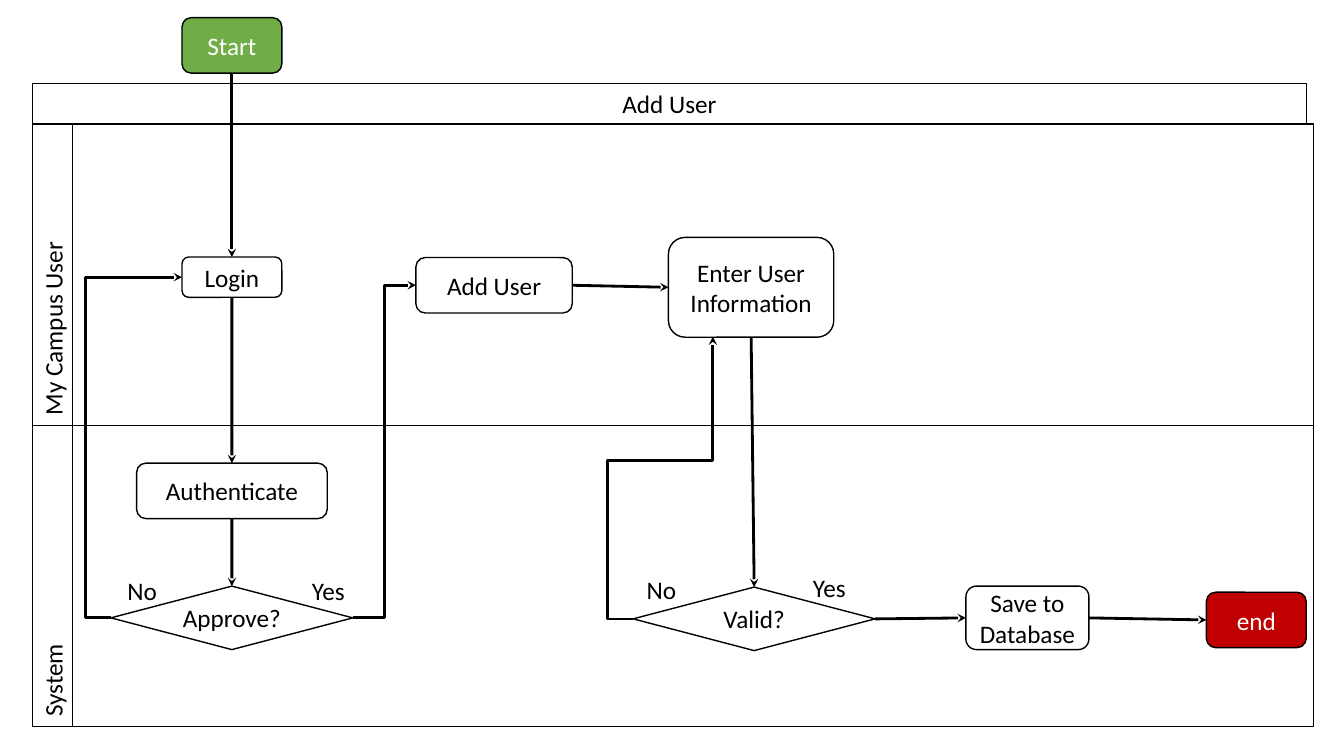
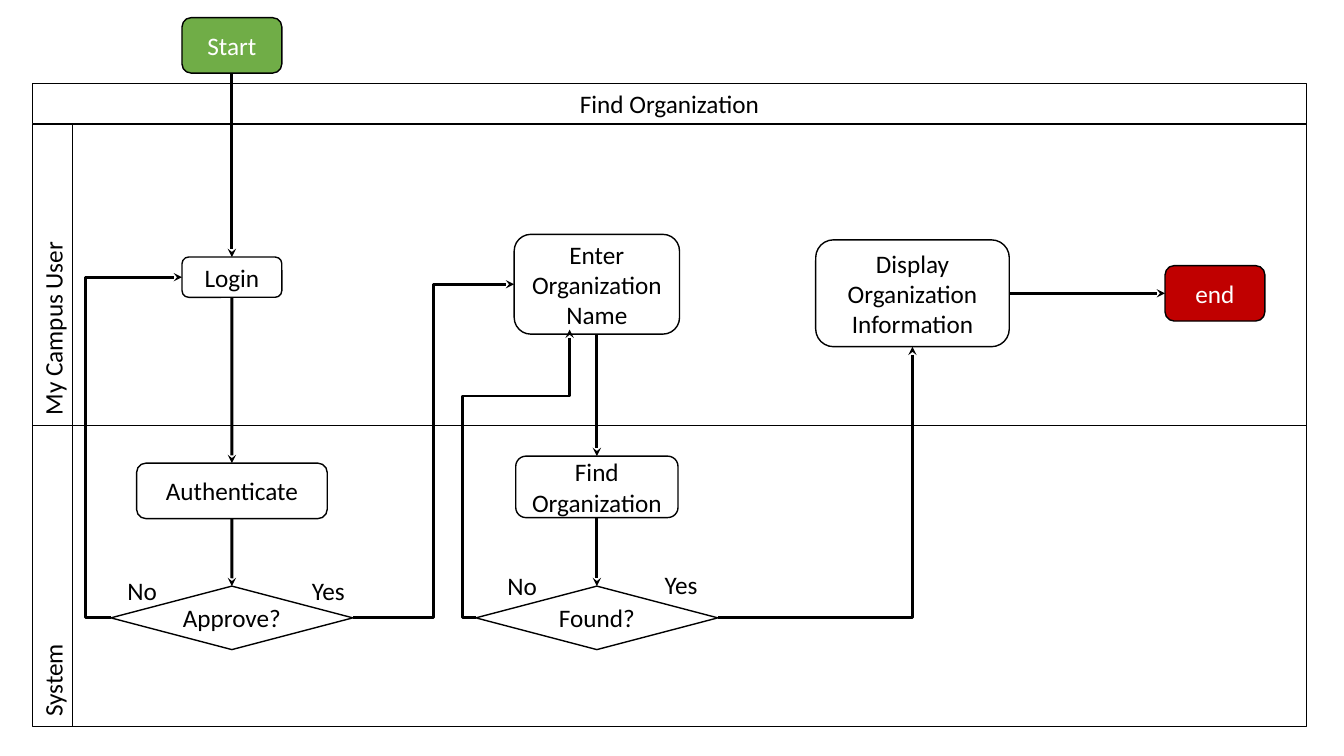
from lxml import etree
from pptx import Presentation, util as u
from pptx.dml.color import RGBColor
from pptx.enum import shapes, text
from pptx.oxml.ns import qn

BLACK, WHITE, GREEN, RED = "000000", "FFFFFF", "70AD47", "C00000"
FONT, FONT_SIZE = "Calibri", 18
BOX = shapes.MSO_SHAPE.ROUNDED_RECTANGLE
DIAMOND = shapes.MSO_SHAPE.DIAMOND
RECT = shapes.MSO_SHAPE.RECTANGLE
CENTER, LEFT = text.PP_ALIGN.CENTER, text.PP_ALIGN.LEFT
TOP_SIDE, LEFT_SIDE, BOTTOM_SIDE, RIGHT_SIDE = range(4)

# Swimlane grid, in inches
POOL_LEFT, POOL_TOP, POOL_WIDTH = 0.32, 0.83, 12.64
BAR, LANE = 0.4, 2.99
LANE_LEFT, LANE_TOP = POOL_LEFT + BAR, POOL_TOP + BAR
LANES = ["My Campus User", "System"]

# Columns, rows and sizes of the flow
ACCESS_COL, DECISION_ROW = 2.3, 6.13
TERMINAL, DECISION, ENTRY, ANSWER = (0.99, 0.55), (2.4, 0.63), (1.64, 0.99), (0.57, BAR)


def node(slide, label, center, size, kind=BOX, fill=None, align=CENTER, width=1):
    """Place a labelled shape by its centre; kind None gives bare text."""
    (cx, cy), (w, h) = center, size
    frame = [u.Inches(v) for v in (cx - w / 2, cy - h / 2, w, h)]
    if kind is None:
        part = slide.shapes.add_textbox(*frame)
    else:
        part = slide.shapes.add_shape(kind, *frame)
        part.shadow.inherit = False
        part.line.color.rgb = RGBColor.from_string(BLACK)
        part.line.width = u.Pt(width)
        if fill:
            part.fill.solid()
            part.fill.fore_color.rgb = RGBColor.from_string(fill)
        else:
            part.fill.background()
    part.text_frame.word_wrap = True
    part.text_frame.text = label
    for paragraph in part.text_frame.paragraphs:
        paragraph.alignment = align
        for run in paragraph.runs:
            run.font.name, run.font.size = FONT, u.Pt(FONT_SIZE)
            run.font.color.rgb = RGBColor.from_string(WHITE if fill else BLACK)
    return part


def link(slide, start, start_side, end, end_side=None, bends=None):
    """Draw an arrow from a node to a node side, or to a point if no side is given."""
    kind = shapes.MSO_CONNECTOR.STRAIGHT if bends is None else shapes.MSO_CONNECTOR.ELBOW
    target = (0, 0) if end_side is not None else [u.Inches(v) for v in end]
    arrow = slide.shapes.add_connector(kind, 0, 0, *target)
    arrow.begin_connect(start, start_side)
    if end_side is not None:
        arrow.end_connect(end, end_side)
    arrow.line.color.rgb = RGBColor.from_string(BLACK)
    arrow.line.width = u.Pt(2)
    props = arrow.element.spPr
    etree.SubElement(props.find(qn("a:ln")), qn("a:tailEnd"), type="stealth")
    etree.SubElement(props, qn("a:effectLst"))
    if bends is not None:
        geometry = props.find(qn("a:prstGeom"))
        geometry.set("prst", f"bentConnector{len(bends) + 2}")
        for number, share in enumerate(bends, 1):
            etree.SubElement(geometry.find(qn("a:avLst")), qn("a:gd"),
                             name=f"adj{number}", fmla=f"val {round(share * 100000)}")
        if bends and bends[0] < 0:  # a loop back is a half turn plus a mirror
            turn = props.find(qn("a:xfrm"))
            turn.attrib.pop("flipV", None)
            turn.set("rot", "10800000")
            turn.set("flipH", "1")
    return arrow


deck = Presentation()
deck.slide_width, deck.slide_height = u.Inches(13.33), u.Inches(7.5)

# Pool, lanes and the sign-in steps that both flows begin with
flows = []
for title, lane_width in [("Add User", 12.31), ("Find Organization", 12.24)]:
    slide = deck.slides.add_slide(deck.slide_layouts[6])
    node(slide, title, (POOL_LEFT + POOL_WIDTH / 2, POOL_TOP + BAR / 2),
         (POOL_WIDTH, BAR), RECT, width=0.75)
    for row, lane in enumerate(LANES):
        middle = LANE_TOP + LANE * (row + 0.5)
        header = node(slide, lane, (POOL_LEFT + BAR / 2, middle), (LANE, BAR),
                      RECT, align=LEFT, width=0.75)
        header.rotation = 270
        node(slide, "", (LANE_LEFT + lane_width / 2, middle), (lane_width, LANE), RECT)

    start = node(slide, "Start", (ACCESS_COL, 0.45), TERMINAL, fill=GREEN)
    login = node(slide, "Login", (ACCESS_COL, 2.75), (0.99, 0.4))
    authenticate = node(slide, "Authenticate", (ACCESS_COL, 4.87), (1.89, 0.55))
    approve = node(slide, "Approve?", (ACCESS_COL, DECISION_ROW), DECISION, DIAMOND)
    for above, below in [(start, login), (login, authenticate), (authenticate, approve)]:
        link(slide, above, BOTTOM_SIDE, below, TOP_SIDE)
    link(slide, approve, LEFT_SIDE, login, LEFT_SIDE, [-0.36])
    node(slide, "No", (1.45, 5.86), ANSWER, None, align=LEFT)
    node(slide, "Yes", (3.28, 5.86), ANSWER, None, align=LEFT)
    flows.append((slide, approve))

# Add User
slide, approve = flows[0]
add_user = node(slide, "Add User", (4.9, 2.83), (1.55, 0.55))
enter_user = node(slide, "Enter User Information", (7.45, 2.85), ENTRY)
valid = node(slide, "Valid?", (7.48, 6.14), DECISION, DIAMOND)
save = node(slide, "Save to Database", (10.19, DECISION_ROW), (1.22, 0.63))
end = node(slide, "end", (12.46, 6.15), TERMINAL, fill=RED)
node(slide, "No", (6.6, 5.85), ANSWER, None, align=LEFT)
node(slide, "Yes", (8.25, 5.83), ANSWER, None, align=LEFT)
link(slide, approve, RIGHT_SIDE, add_user, LEFT_SIDE, [0.5])
link(slide, add_user, RIGHT_SIDE, enter_user, LEFT_SIDE)
link(slide, enter_user, BOTTOM_SIDE, valid, TOP_SIDE)
link(slide, valid, LEFT_SIDE, (7.07, 3.34), bends=[-0.32, 0.56])
link(slide, valid, RIGHT_SIDE, save, LEFT_SIDE)
link(slide, save, RIGHT_SIDE, end, LEFT_SIDE)

# Find Organization
slide, approve = flows[1]
SEARCH_COL, RESULT_ROW = 5.92, 2.91
enter_name = node(slide, "Enter Organization Name", (SEARCH_COL, 2.82), ENTRY)
find = node(slide, "Find\nOrganization", (SEARCH_COL, 4.83), (1.61, 0.61))
found = node(slide, "Found?", (SEARCH_COL, DECISION_ROW), DECISION, DIAMOND)
display = node(slide, "Display Organization Information", (9.05, RESULT_ROW), (1.92, 1.06))
end = node(slide, "end", (12.05, RESULT_ROW), TERMINAL, fill=RED)
node(slide, "No", (5.22, 5.81), ANSWER, None, align=LEFT)
node(slide, "Yes", (6.78, 5.8), ANSWER, None, align=LEFT)
link(slide, approve, RIGHT_SIDE, enter_name, LEFT_SIDE, [0.5])
link(slide, enter_name, BOTTOM_SIDE, find, TOP_SIDE)
link(slide, find, BOTTOM_SIDE, found, TOP_SIDE)
link(slide, found, LEFT_SIDE, (5.65, 3.27), bends=[-0.14, 0.77])
link(slide, found, RIGHT_SIDE, display, BOTTOM_SIDE, [])
link(slide, display, RIGHT_SIDE, end, LEFT_SIDE)

deck.save("out.pptx")
